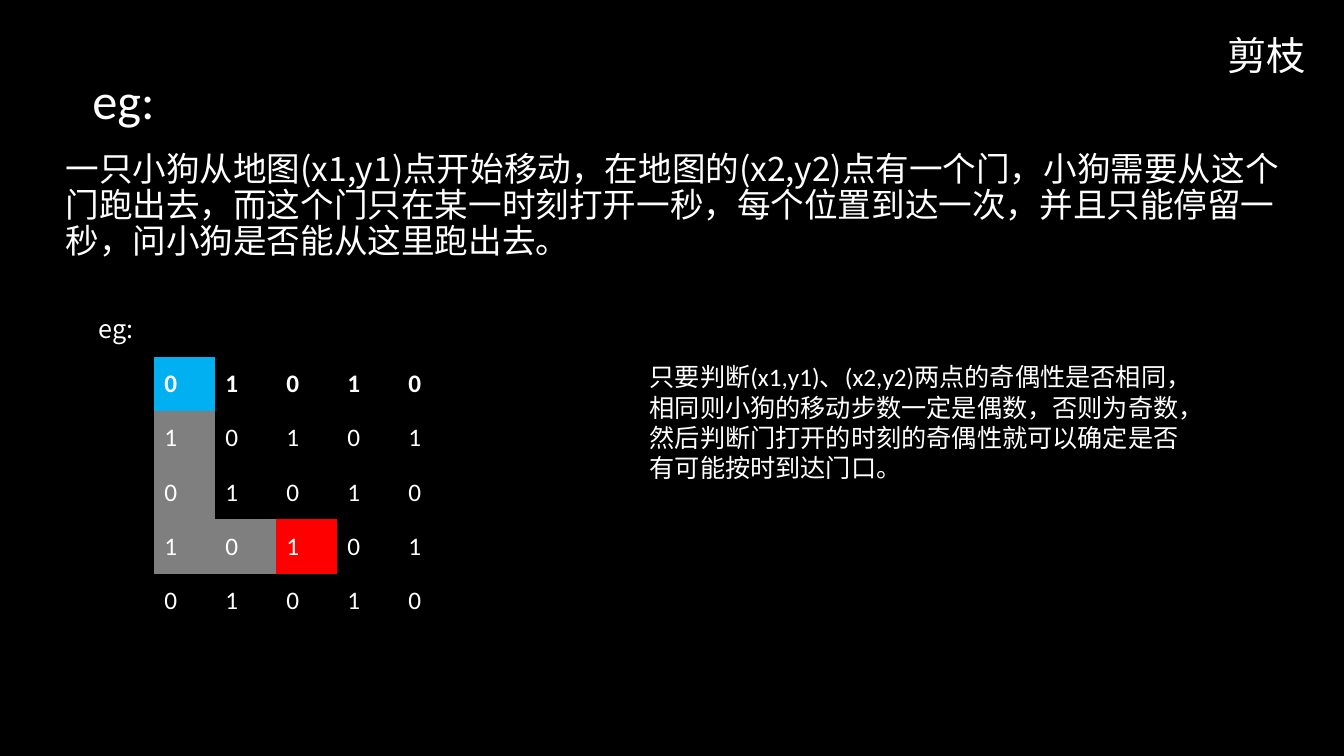
import pptx
import pptx.util
import pptx.dml.color
import pptx.enum.text
import lxml.etree

Pt = pptx.util.Pt
Align = pptx.enum.text.PP_ALIGN
Anchor = pptx.enum.text.MSO_ANCHOR
Auto = pptx.enum.text.MSO_AUTO_SIZE

# Content
SANS, CJK = "Calibri", "Noto Sans CJK SC"
WHITE, BLACK = "FFFFFF", "000000"
HEAD = "剪枝"
TASK = ("一只小狗从地图(x1,y1)点开始移动，在地图的(x2,y2)点有一个门，"
        "小狗需要从这个门跑出去，而这个门只在某一时刻打开一秒，"
        "每个位置到达一次，并且只能停留一秒，问小狗是否能从这里跑出去。")
HINT = ("只要判断(x1,y1)、(x2,y2)两点的奇偶性是否相同，"
        "相同则小狗的移动步数一定是偶数，否则为奇数，"
        "然后判断门打开的时刻的奇偶性就可以确定是否有可能按时到达门口。")
# text, left, top, width, height, size, font, wrap
NOTES = [
    ("eg:", 59, 46, 59, 50.4, 36, SANS, False),
    (HINT, 457.2, 254.9, 403.2, 93.6, 18, SANS, True),
    ("eg:", 63.4, 220.3, 46.8, 50.4, 18, CJK, False),
]
# Grid of parities, with the dog's path from start to door
SIDE = 5
GRID = (110.2, 254.9, 218.2, 193.7)
PATH = {(0, 0): "00B0F0", (1, 0): "7F7F7F", (2, 0): "7F7F7F",
        (3, 0): "7F7F7F", (3, 1): "7F7F7F", (3, 2): "FF0000"}


def paint(fill, tint):
    fill.solid()
    fill.fore_color.rgb = pptx.dml.color.RGBColor.from_string(tint)


def write(frame, text, size, face, bold=False):
    frame.text = text
    font = frame.paragraphs[0].runs[0].font
    font.size, font.name, font.bold = Pt(size), face, bold
    paint(font.fill, WHITE)
    return frame.paragraphs[0]


def place(shape, *box):
    shape.left, shape.top, shape.width, shape.height = map(Pt, box)


# Slide
deck = pptx.Presentation()
deck.slide_width, deck.slide_height = Pt(960.5), Pt(540)
slide = deck.slides.add_slide(deck.slide_layouts[1])
paint(slide.background.fill, BLACK)
title, body = slide.placeholders

# Title
place(title, 66.2, 16.6, 874.1, 49.7)
title.text_frame.auto_size = Auto.NONE
title.text_frame.vertical_anchor = Anchor.MIDDLE
para = write(title.text_frame, HEAD, 28, SANS)
para.alignment, para.line_spacing = Align.RIGHT, 0.9

# Task, without a bullet
place(body, 39.6, 105.1, 882.7, 110.9)
body.text_frame.auto_size = Auto.NONE
para = write(body.text_frame, TASK, 24, CJK)
para.line_spacing, para.space_before = 0.9, Pt(0)
props = para._p.get_or_add_pPr()
props.set("marL", "0")
props.set("indent", "0")
lxml.etree.SubElement(props, pptx.oxml.ns.qn("a:buNone"))

# Labels and hint
for text, left, top, width, height, size, face, wrap in NOTES:
    box = slide.shapes.add_textbox(*map(Pt, (left, top, width, height)))
    box.text_frame.word_wrap = wrap
    box.text_frame.auto_size = Auto.SHAPE_TO_FIT_TEXT
    write(box.text_frame, text, size, face)

# Parity grid
table = slide.shapes.add_table(SIDE, SIDE, *map(Pt, GRID)).table
for row in range(SIDE):
    for col in range(SIDE):
        cell = table.cell(row, col)
        cell.vertical_anchor = Anchor.MIDDLE
        paint(cell.fill, PATH.get((row, col), BLACK))
        write(cell.text_frame, str((row + col) % 2), 18, SANS, row == 0)
        # Hide the borders of the table style
        for side in ("lnB", "lnT", "lnR", "lnL"):
            line = lxml.etree.Element(pptx.oxml.ns.qn("a:" + side), w="0")
            lxml.etree.SubElement(line, pptx.oxml.ns.qn("a:noFill"))
            cell._tc.get_or_add_tcPr().insert(0, line)

deck.save("out.pptx")
